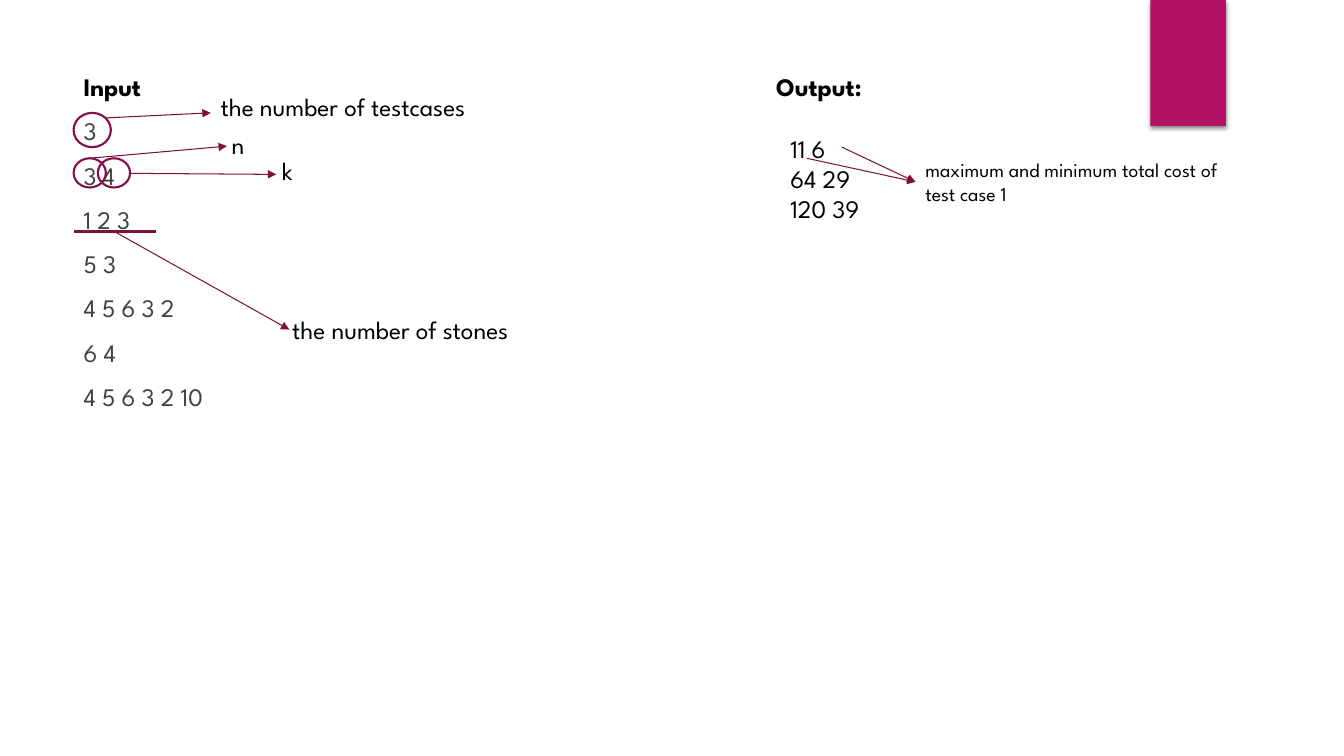
from lxml.etree import SubElement
from pptx import Presentation
from pptx.dml.color import RGBColor
from pptx.enum.shapes import MSO_CONNECTOR as Connector, MSO_SHAPE as Shape
from pptx.enum.text import MSO_AUTO_SIZE as AutoSize
from pptx.oxml import parse_xml
from pptx.oxml.ns import nsdecls, qn
from pptx.util import Pt

PX = 9144  # EMU; 100 px to the inch
FONT = "League Spartan"
BLACK = RGBColor(0x00, 0x00, 0x00)
GREY = RGBColor(0x40, 0x40, 0x40)
MAGENTA = RGBColor(0xB3, 0x11, 0x66)
PLUM = RGBColor(0x84, 0x0D, 0x4B)
WINE = RGBColor(0x7E, 0x12, 0x33)


class SlideBuilder:
    def __init__(self, slide):
        self.slide = slide
        self.shapes = slide.shapes

    def text(self, box, lines, size=18, wrap=False, grow=True, before=0,
             heading=False, body_color=BLACK):
        """Add a text box; with heading, the first line is bold black."""
        text_box = self.shapes.add_textbox(*(v * PX for v in box))
        frame = text_box.text_frame
        frame.word_wrap = wrap
        frame.auto_size = AutoSize.SHAPE_TO_FIT_TEXT if grow else AutoSize.NONE
        frame.text = "\n".join(lines)
        for i, paragraph in enumerate(frame.paragraphs):
            is_heading = heading and i == 0
            paragraph.space_before = Pt(before)
            font = paragraph.font
            font.name, font.size, font.bold = FONT, Pt(size), is_heading
            font.color.rgb = BLACK if is_heading else body_color
        return text_box

    def ring(self, box):
        ring = self.shapes.add_shape(Shape.OVAL, *(v * PX for v in box))
        ring.shadow.inherit = False
        ring.fill.background()
        ring.line.color.rgb = PLUM
        ring.line.width = Pt(1.5)
        return ring

    def banner(self, box):
        banner = self.shapes.add_shape(Shape.RECTANGLE, *(v * PX for v in box))
        banner.fill.solid()
        banner.fill.fore_color.rgb = MAGENTA
        banner.line.fill.background()
        banner._element.spPr.append(parse_xml(
            f'<a:effectLst {nsdecls("a")}><a:outerShdw blurRad="{Pt(3)}" '
            f'dist="{Pt(2)}" dir="5400000" rotWithShape="0">'
            '<a:srgbClr val="000000"><a:alpha val="45000"/></a:srgbClr>'
            '</a:outerShdw></a:effectLst>'))

    def line(self, start, end, width=0.75, arrow=True):
        line = self.shapes.add_connector(
            Connector.STRAIGHT, *(v * PX for v in (*start, *end)))
        line.line.color.rgb = WINE
        line.line.width = Pt(width)
        if arrow:
            SubElement(line.line._get_or_add_ln(), qn("a:tailEnd"),
                       type="triangle")
        SubElement(line._element.spPr, qn("a:effectLst"))
        return line


def main():
    deck = Presentation()
    deck.slide_width, deck.slide_height = 1333 * PX, 750 * PX
    page = SlideBuilder(deck.slides.add_slide(deck.slide_layouts[6]))

    page.banner((1141, 0, 75, 125))

    # Sample input and the output heading
    page.text((73, 66, 225, 425),
              ["Input", "3", "3 4", "1 2 3", "5 3", "4 5 6 3 2", "6 4",
               "4 5 6 3 2 10"],
              wrap=True, grow=False, before=10, heading=True, body_color=GREY)
    page.text((760, 66, 112, 40), ["Output:"], wrap=True, heading=True)

    # Number of test cases
    page.ring((73, 112, 37, 34))
    page.line((105, 117), (209, 112))
    page.text((209, 86, 315, 40), ["the number of testcases"])

    # n and k
    n_ring = page.ring((73, 157, 32, 29))
    page.ring((97, 157, 32, 29))
    n_arrow = page.line((89, 157), (225, 145))
    n_arrow.begin_connect(n_ring, 0)
    page.text((220, 123, 36, 40), ["n"])
    page.line((129, 172), (274, 173))
    page.text((270, 149, 33, 40), ["k"])

    # Stones
    page.text((280, 307, 278, 40), ["the number of stones"])
    page.line((73, 230), (155, 230), width=2.25, arrow=False)
    page.line((114, 230), (287, 327))

    # Sample output and its explanation
    page.text((774, 127, 97, 222), ["11 6", "64 29", "120 39"])
    cost_note = page.text(
        (908, 152, 440, 57),
        ["maximum and minimum total cost of", "test case 1"],
        size=14, wrap=True)
    for cost in ((800, 157), (835, 146)):
        page.line(cost, (908, 180)).end_connect(cost_note, 1)

    deck.save("out.pptx")


if __name__ == "__main__":
    main()
